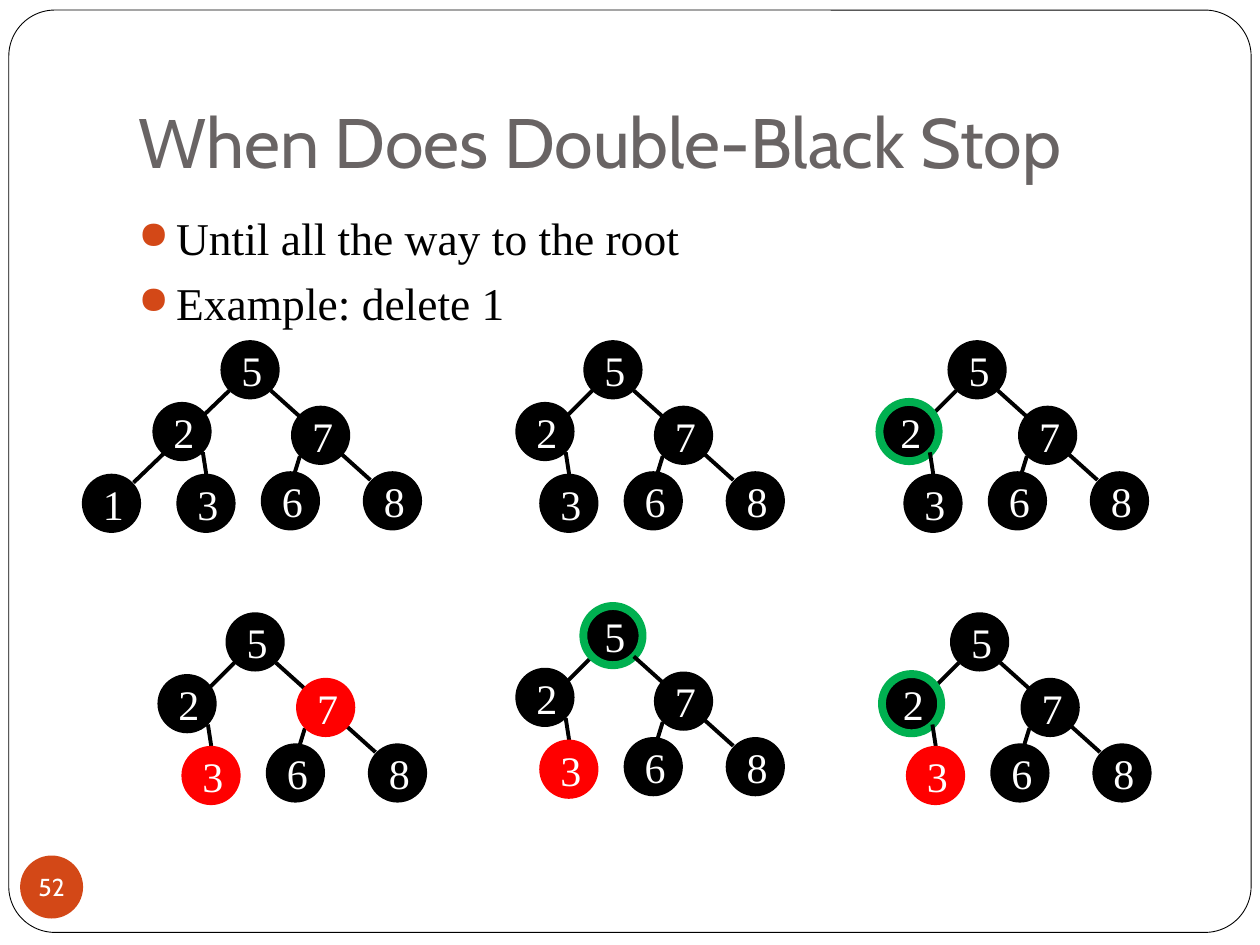
from lxml import etree
from pptx import Presentation
from pptx.dml.color import RGBColor
from pptx.enum import shapes, text
from pptx.oxml import ns
from pptx.util import Inches, Pt

COLORS = {
    "black": "000000", "white": "FFFFFF", "red": "FF0000",
    "green": "00B050", "orange": "D34817", "gray": "696464",
}
SERIF, SANS = "Times New Roman", "Cabin"
NODE_SIZE = 0.47

# Node positions relative to the root's top left corner
NODES = {
    "1": (-1.10, 1.06), "2": (-0.54, 0.49), "3": (-0.35, 1.06), "5": (0, 0),
    "6": (0.32, 1.04), "7": (0.56, 0.52), "8": (1.13, 1.04),
}
# Edges as (from x, from y, to x, to y), relative to the same corner
EDGES = {
    "5-2": (0.07, 0.40, -0.35, 0.82), "5-2-1": (0.07, 0.40, -0.69, 1.13),
    "2-3": (-0.07, 1.34, -0.14, 0.89), "7-6": (0.63, 0.92, 0.50, 1.34),
    "5-7-8": (0.40, 0.40, 1.19, 1.11),
}
FULL_TREE = ["7-6", "6", "5-2-1", "2", "2-3", "1", "3", "5", "5-7-8", "7", "8"]
AFTER_DELETE = ["7-6", "6", "5-2", "2", "2-3", "3", "5", "5-7-8", "7", "8"]

# Root left, root top, drawing order, red nodes, double-black node
TREES = [
    (1.75, 2.70, FULL_TREE, "", ""),
    (4.63, 2.70, AFTER_DELETE, "", ""),
    (7.54, 4.86, AFTER_DELETE, "3", "2"),
    (1.79, 4.86, AFTER_DELETE, "37", ""),
    (7.52, 2.70, AFTER_DELETE, "", "2"),
    (4.63, 4.81, AFTER_DELETE, "3", "5"),
]


def rgb(name):
    return RGBColor.from_string(COLORS[name])


def format_runs(paragraph, size, font, color):
    for run in paragraph.runs:
        run.font.size = Pt(size)
        run.font.name = font
        run.font.color.rgb = rgb(color)


def add_preset(parent, kind, box, fill, line=None, width=0.5):
    preset = parent.add_shape(kind, *map(Inches, box))
    preset.shadow.inherit = False
    preset.fill.solid()
    preset.fill.fore_color.rgb = rgb(fill)
    if line:
        preset.line.color.rgb = rgb(line)
        preset.line.width = Pt(width)
    else:
        preset.line.fill.background()
    return preset


def label(circle, wording, size, font):
    frame = circle.text_frame
    frame.text = wording
    frame.vertical_anchor = text.MSO_ANCHOR.MIDDLE
    frame.paragraphs[0].alignment = text.PP_ALIGN.CENTER
    format_runs(frame.paragraphs[0], size, font, "white")


def add_edge(parent, ends):
    edge = parent.add_connector(shapes.MSO_CONNECTOR.STRAIGHT, *map(Inches, ends))
    edge.line.color.rgb = rgb("black")
    edge.line.width = Pt(2.25)
    etree.SubElement(edge._element.spPr, ns.qn("a:effectLst"))


def add_tree(slide, left, top, parts, red_nodes, double_black):
    tree = slide.shapes.add_group_shape().shapes
    for part in parts:
        if part in EDGES:
            x1, y1, x2, y2 = EDGES[part]
            add_edge(tree, (left + x1, top + y1, left + x2, top + y2))
            continue
        dx, dy = NODES[part]
        node = add_preset(
            tree, shapes.MSO_SHAPE.OVAL,
            (left + dx, top + dy, NODE_SIZE, NODE_SIZE),
            "red" if part in red_nodes else "black",
            "green" if part == double_black else None, 4.5)
        label(node, part, 24, SERIF)


def add_title(slide, wording):
    title = slide.shapes.title
    title.left, title.top = Inches(1), Inches(0.3)
    title.width, title.height = Inches(8.5), Inches(1.25)
    frame = title.text_frame
    frame.text = wording
    frame.vertical_anchor = text.MSO_ANCHOR.BOTTOM
    frame.margin_bottom = Inches(0.1)
    frame.paragraphs[0].alignment = text.PP_ALIGN.LEFT
    format_runs(frame.paragraphs[0], 40, SANS, "gray")


def add_bullet(paragraph):
    props = paragraph._p.get_or_add_pPr()
    props.set("marL", str(Inches(0.3)))
    props.set("indent", str(-Inches(0.3)))
    color = etree.SubElement(props, ns.qn("a:buClr"))
    etree.SubElement(color, ns.qn("a:srgbClr"), val=COLORS["orange"])
    etree.SubElement(props, ns.qn("a:buSzPct"), val="85000")
    etree.SubElement(props, ns.qn("a:buChar"), char="●")


def add_bullets(slide, lines):
    body = slide.shapes.add_textbox(Inches(1), Inches(1.62), Inches(8.5), Inches(1.05))
    frame = body.text_frame
    frame.word_wrap = True
    frame.text = "\n".join(lines)
    for index, paragraph in enumerate(frame.paragraphs):
        add_bullet(paragraph)
        if index:
            paragraph.space_before = Pt(6)
        format_runs(paragraph, 26, SERIF, "black")


def add_page_number(slide, number):
    badge = add_preset(slide.shapes, shapes.MSO_SHAPE.OVAL,
                       (0.16, 6.79, 0.5, 0.5), "orange")
    frame = badge.text_frame
    frame.margin_left = frame.margin_right = 0
    frame.margin_top = frame.margin_bottom = 0
    frame.word_wrap = False
    label(badge, number, 14, SANS)


def add_frame(slide):
    border = add_preset(slide.shapes, shapes.MSO_SHAPE.ROUNDED_RECTANGLE,
                        (0.07, 0.08, 9.86, 7.32), "white", "black")
    border.adjustments[0] = 0.05
    # Send the frame behind the title
    slide.shapes._spTree.insert(2, border._element)


def main():
    deck = Presentation()
    deck.slide_width, deck.slide_height = Inches(10), Inches(7.5)
    slide = deck.slides.add_slide(deck.slide_layouts[5])

    # Frame, heading and text
    add_frame(slide)
    add_title(slide, "When Does Double-Black Stop")
    add_page_number(slide, "52")
    add_bullets(slide, ["Until all the way to the root", "Example: delete 1"])

    # Red-black trees
    for tree in TREES:
        add_tree(slide, *tree)

    deck.save("out.pptx")


if __name__ == "__main__":
    main()
